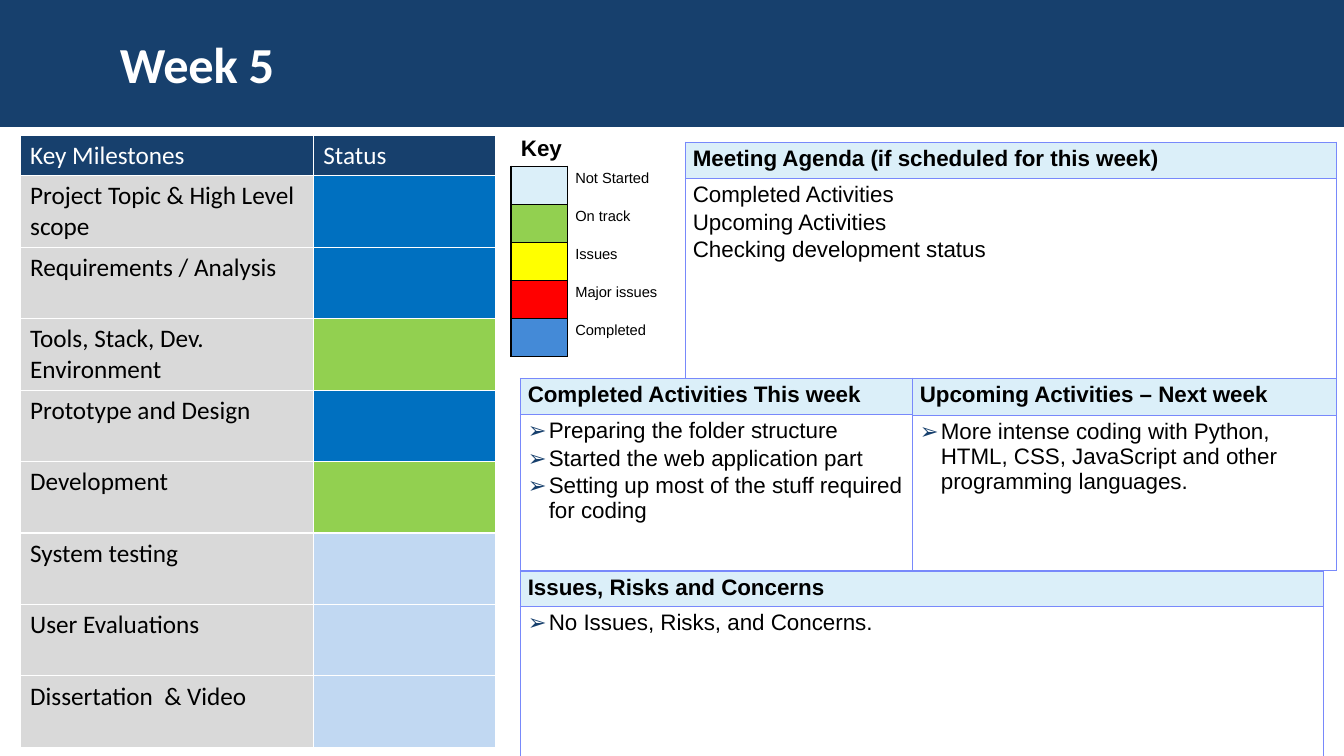
from lxml import etree
from pptx import Presentation
from pptx import util as u
from pptx.dml.color import RGBColor
from pptx.enum import shapes, text
from pptx.oxml import ns

COLORS = {
    "navy": "17406D", "white": "FFFFFF", "black": "000000", "grey": "D9D9D9",
    "pale": "DBEFF9", "green": "92D050", "yellow": "FFFF00", "red": "FF0000",
    "blue": "448AD7", "done": "0070C0", "waiting": "C1D8F2", "outline": "7889FB",
}
MILESTONES = [
    ("Project Topic & High Level scope", "done"),
    ("Requirements / Analysis", "done"),
    ("Tools, Stack, Dev. Environment", "green"),
    ("Prototype and Design", "done"),
    ("Development", "green"),
    ("System testing", "waiting"),
    ("User Evaluations", "waiting"),
    ("Dissertation  & Video", "waiting"),
]
KEY = [
    ("Not Started", "pale"), ("On track", "green"), ("Issues", "yellow"),
    ("Major issues", "red"), ("Completed", "blue"),
]
PANELS = [
    ((13.11, 9.53, 9.88), (0.91, 3.94), True, "Completed Activities This week",
     ["Preparing the folder structure", "Started the web application part",
      "Setting up most of the stuff required for coding"]),
    ((17.27, 3.58, 16.41), (0.91, 5.05), False,
     "Meeting Agenda (if scheduled for this week)",
     ["Completed Activities", "Upcoming Activities", "Checking development status"]),
    ((13.11, 14.4, 20.24), (0.85, 3.84), True, "Issues, Risks and Concerns",
     ["No Issues, Risks, and Concerns."]),
    ((22.99, 9.53, 10.69), (0.94, 3.91), True, "Upcoming Activities – Next week",
     ["More intense coding with Python, HTML, CSS, JavaScript and other "
      "programming languages."]),
]


def rgb(name):
    """Return the named colour."""
    return RGBColor.from_string(COLORS[name])


def add_part(parent, tag, **values):
    """Append an XML element with the given attributes."""
    part = etree.SubElement(parent, ns.qn(tag))
    for name, value in values.items():
        part.set(name, str(value))
    return part


def add_bullet(para):
    """Give a paragraph a navy arrow bullet with a hanging indent."""
    props = para._p.get_or_add_pPr()
    indent = u.Cm(0.53)
    props.set("marL", str(indent))
    props.set("indent", str(-indent))
    add_part(add_part(props, "a:buClr"), "a:srgbClr", val=COLORS["navy"])
    add_part(props, "a:buFont", typeface="Arial")
    add_part(props, "a:buChar", char="➢")


def write(frame, lines, color="black", bullets=False, gap=0, **format_values):
    """Fill a text frame with one formatted paragraph per line."""
    for index, line in enumerate(lines):
        para = frame.paragraphs[0] if index == 0 else frame.add_paragraph()
        para.space_after = u.Pt(gap)
        if bullets:
            add_bullet(para)
        span = para.add_run()
        span.text = line
        for name, value in format_values.items():
            setattr(span.font, name, value)
        span.font.color.rgb = rgb(color)


def style_cell(cell, fill, line, sides="LRTB", width=1, padding=(0.25, 0.13)):
    """Set the borders, fill and margins of a table cell."""
    props = cell._tc.get_or_add_tcPr()
    for side in "LRTB":
        border = add_part(props, f"a:ln{side}", w=u.Pt(width))
        if side in sides:
            add_part(add_part(border, "a:solidFill"), "a:srgbClr", val=COLORS[line])
        else:
            add_part(border, "a:noFill")
    if fill:
        cell.fill.solid()
        cell.fill.fore_color.rgb = rgb(fill)
    else:
        cell.fill.background()
    cell.margin_left = cell.margin_right = u.Cm(padding[0])
    cell.margin_top = cell.margin_bottom = u.Cm(padding[1])


def add_grid(slide, left, top, widths, heights):
    """Add a plain table with the given column widths and row heights."""
    sizes = (left, top, sum(widths), sum(heights))
    table = slide.shapes.add_table(
        len(heights), len(widths), *map(u.Cm, sizes)).table
    table.first_row = table.horz_banding = False
    for column, width in zip(table.columns, widths):
        column.width = u.Cm(width)
    for row, height in zip(table.rows, heights):
        row.height = u.Cm(height)
    return table


def add_text(slide, box, line, **format_values):
    """Add a one-line text box."""
    frame = slide.shapes.add_textbox(*map(u.Cm, box)).text_frame
    frame.word_wrap = True
    write(frame, [line], **format_values)
    return frame


def add_header(slide, left, top, width, height):
    """Draw the navy title band."""
    band = slide.shapes.add_shape(
        shapes.MSO_SHAPE.RECTANGLE, *map(u.Cm, (left, top, width, height)))
    band.shadow.inherit = False
    band.fill.solid()
    band.fill.fore_color.rgb = rgb("navy")
    band.line.fill.background()
    title = add_text(slide, (left + 2.77, top + 0.54, 27.84, 2.12), "Week 5",
                     color="white", name="Calibri", size=u.Pt(36), bold=True)
    title.vertical_anchor = text.MSO_ANCHOR.MIDDLE
    title.paragraphs[0].runs[0].font._element.set("spc", "-20")


def add_milestones(slide, left, top):
    """Draw the milestone table with its status colours."""
    table = add_grid(slide, left, top, (7.39, 4.6), [1.03] + [1.8] * len(MILESTONES))
    for column, heading in enumerate(("Key Milestones", "Status")):
        cell = table.cell(0, column)
        style_cell(cell, "navy", "white")
        write(cell.text_frame, [heading], color="white", name="Calibri", size=u.Pt(18))
    for row, (milestone, status) in enumerate(MILESTONES, 1):
        cell = table.cell(row, 0)
        style_cell(cell, "grey", "white")
        write(cell.text_frame, [milestone], name="Calibri", size=u.Pt(18))
        style_cell(table.cell(row, 1), status, "white")


def add_key(slide, left, top):
    """Draw the colour key under its heading."""
    table = add_grid(slide, left, top + 0.94, (1.42, 3.56), [0.96] * len(KEY))
    for row, (label, color) in enumerate(KEY):
        style_cell(table.cell(row, 0), color, "black", padding=(0, 0))
        cell = table.cell(row, 1)
        style_cell(cell, None, "black", sides="L", padding=(0.2, 0.1))
        write(cell.text_frame, [label], name="Arial", size=u.Pt(10.5))
    add_text(slide, (left, top, 3.81, 0.94), "Key",
             name="Arial", size=u.Pt(16), bold=True)


def add_panel(slide, box, heights, bullets, heading, lines):
    """Draw a panel with a pale heading row above its lines."""
    left, top, width = box
    table = add_grid(slide, left, top, [width], heights)
    head, body = table.cell(0, 0), table.cell(1, 0)
    for cell, fill in ((head, "pale"), (body, None)):
        style_cell(cell, fill, "outline", width=0.71, padding=(0.19, 0.1))
    write(head.text_frame, [heading], name="Arial", size=u.Pt(16), bold=True)
    write(body.text_frame, lines, bullets=bullets, gap=2,
          name="Arial", size=u.Pt(16), bold=False)


def main():
    """Build the weekly status slide."""
    deck = Presentation()
    deck.slide_width, deck.slide_height = u.Cm(33.87), u.Cm(19.05)
    slide = deck.slides.add_slide(deck.slide_layouts[6])
    add_header(slide, 0, 0, 33.87, 3.2)
    add_milestones(slide, 0.51, 3.4)
    add_key(slide, 12.88, 3.25)
    for panel in PANELS:
        add_panel(slide, *panel)
    deck.save("out.pptx")


if __name__ == "__main__":
    main()
